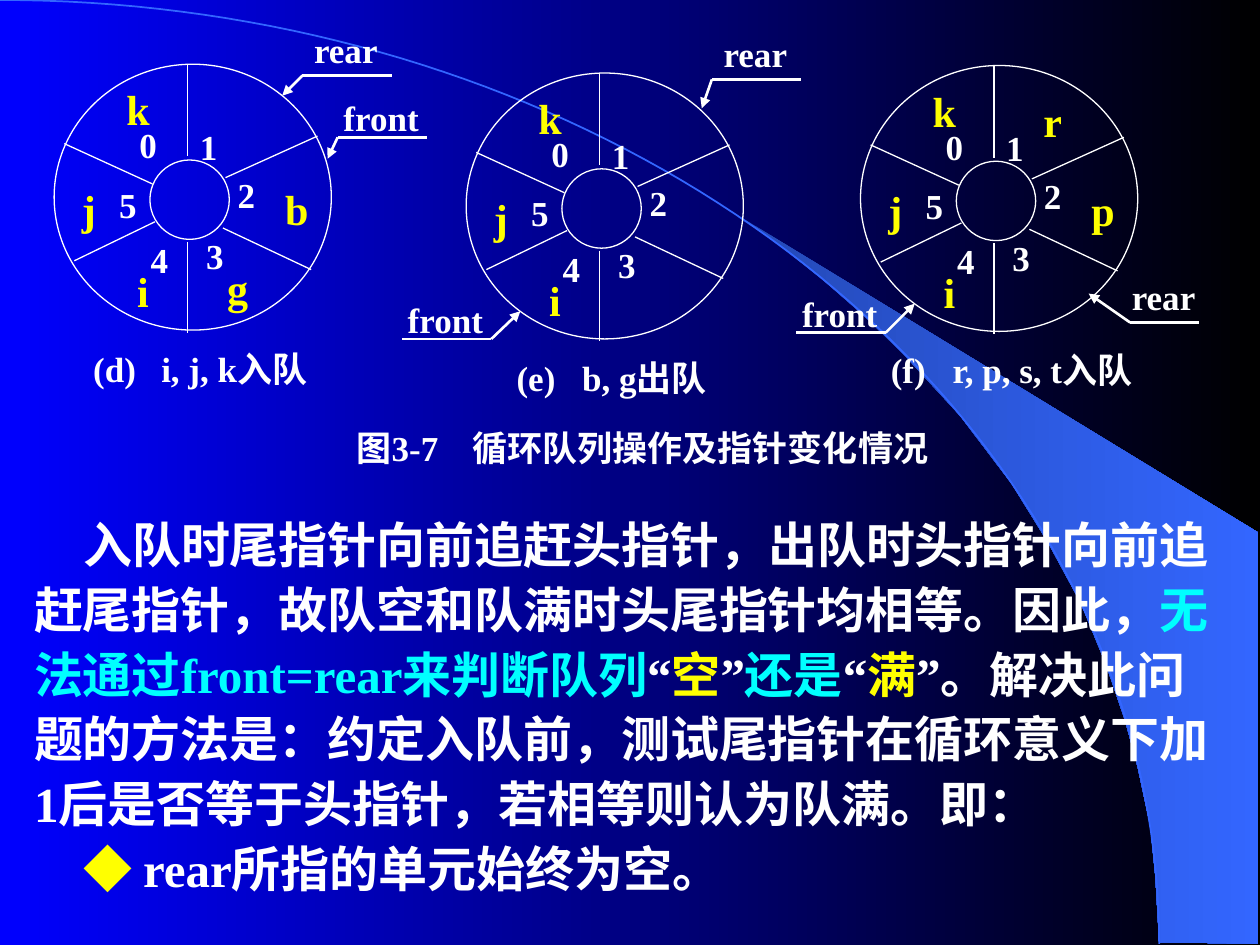
"""Build the slide on circular queue operations and pointer changes."""
from dataclasses import dataclass
from math import cos, pi, sin

from lxml import etree
from pptx import Presentation
from pptx.dml.color import RGBColor
from pptx.enum.shapes import MSO_CONNECTOR, MSO_SHAPE
from pptx.enum.text import MSO_ANCHOR, MSO_AUTO_SIZE, PP_ALIGN
from pptx.oxml.ns import qn
from pptx.util import Inches, Pt

STRAIGHT, OVAL = MSO_CONNECTOR.STRAIGHT, MSO_SHAPE.OVAL
MIDDLE, CENTER, LEFT = MSO_ANCHOR.MIDDLE, PP_ALIGN.CENTER, PP_ALIGN.LEFT
NO_AUTOFIT = MSO_AUTO_SIZE.NONE


@dataclass(frozen=True)
class Theme:
    white: str = "FFFFFF"
    yellow: str = "FFFF00"
    cyan: str = "00FFFF"
    arc: str = "3366FF"
    backdrop: tuple = ("0000FF", "000000")
    beam: tuple = ("2449B6", "3366FF")
    latin: str = "Times New Roman"
    cjk: str = "Noto Sans CJK SC"
    label: int = 20
    element: int = 24
    body: int = 28
    thin: float = 0.75
    medium: float = 1
    thick: float = 1.5


THEME = Theme()

BEAM = [(9.2, 7.48), (9.99, 7.49), (9.99, 4.23), (5.89, 1.73), (6.24, 1.99), (6.53, 2.22),
        (6.85, 2.5), (7.16, 2.8), (7.62, 3.3), (8.03, 3.84), (8.32, 4.31), (8.58, 4.79),
        (8.78, 5.28), (8.93, 5.72), (9.03, 6.09), (9.13, 6.56), (9.17, 6.96)]
ARC = [(9.2 * sin(step * pi / 160), 7.49 * (1 - cos(step * pi / 160))) for step in range(81)]

SPOKES = [((1.06, 0), (1.06, 0.73)), ((1.06, 1.41), (1.06, 2.13)), ((1.36, 0.9), (2.09, 0.57)),
          ((0.16, 1.56), (0.8, 1.25)), ((1.34, 1.3), (2.04, 1.63)), ((0.08, 0.63), (0.78, 0.95))]
INDEX_SPOTS = [(0.55, 0.48), (1.03, 0.49), (1.33, 0.87), (1.08, 1.36), (0.64, 1.39), (0.39, 0.95)]
ELEMENT_SPOTS = [(0.47, 0.16), (1.33, 0.24), (1.73, 0.95), (1.26, 1.58), (0.51, 1.6), (0.08, 0.95)]
POINTER_RISE = {"front": 0.35, "rear": 0.4}

WHEELS = [
    {"origin": (0.43, 0.51), "elements": "k bgij",
     "pointers": [("front", (2.68, 1.09), 3.39, (2.6, 1.26)), ("rear", (2.4, 0.6), 3.11, (2.24, 0.76))],
     "caption": ("(d)\ti, j, k入队", (0.74, 2.73), 1.9, 0.54)},
    {"origin": (3.7, 0.58), "elements": "k   ij",
     "pointers": [("rear", (5.65, 0.63), 6.36, (5.57, 0.86)), ("front", (3.9, 2.69), 3.19, (4.13, 2.47))],
     "caption": ("(e)\tb, g出队", (4.1, 2.8), 1.8, 0.52)},
    {"origin": (6.83, 0.52), "elements": "krp ij",
     "pointers": [("front", (7.03, 2.64), 6.32, (7.26, 2.41)), ("rear", (8.97, 2.56), 9.52, (8.64, 2.33))],
     "caption": ("(f)\tr, p, s, t入队", (7.07, 2.74), 2.2, 0.49)},
]
FIGURE_TITLE = ("图3-7\t循环队列操作及指针变化情况", (2.83, 3.36), 4.8, 0.92)

FULL_TEST = [
    ("入队时尾指针向前追赶头指针，出队时头指针向前追赶尾指针，故队空和队满时头尾指针均相等。因此，",
     THEME.white, THEME.cjk),
    ("无法通过", THEME.cyan, THEME.cjk),
    ("front=rear", THEME.cyan, THEME.latin),
    ("来判断队列", THEME.cyan, THEME.cjk),
    ("“", THEME.white, THEME.latin),
    ("空", THEME.yellow, THEME.cjk),
    ("”", THEME.white, THEME.latin),
    ("还是", THEME.cyan, THEME.cjk),
    ("“", THEME.white, THEME.latin),
    ("满", THEME.yellow, THEME.cjk),
    ("”", THEME.white, THEME.latin),
    ("。解决此问题的方法是：约定入队前，测试尾指针在循环意义下加", THEME.white, THEME.cjk),
    ("1", THEME.white, THEME.latin),
    ("后是否等于头指针，若相等则认为队满。即：", THEME.white, THEME.cjk),
]
EMPTY_CELL = [("◆ ", THEME.yellow, THEME.cjk), ("rear所指的单元始终为空。", THEME.white, THEME.latin)]


class QueueSlide:
    """Draw styled elements on one slide."""

    def __init__(self, slide, theme):
        self.slide, self.theme, self.shapes = slide, theme, slide.shapes

    def gradient(self, fill, colours):
        fill.gradient()
        fill.gradient_angle = 0
        for stop, colour in zip(fill.gradient_stops, colours):
            stop.color.rgb = RGBColor.from_string(colour)

    def stroke(self, line, colour, width):
        line.color.rgb = RGBColor.from_string(colour)
        line.width = Pt(width)

    def font(self, font, size, colour, latin, east_asian):
        font.size, font.bold, font.name = Pt(size), True, latin
        font.color.rgb = RGBColor.from_string(colour)
        etree.SubElement(font._element, qn("a:ea")).set("typeface", east_asian)

    def outline(self, points, closed):
        builder = self.shapes.build_freeform(*map(Inches, points[0]))
        builder.add_line_segments([(Inches(x), Inches(y)) for x, y in points[1:]], close=closed)
        shape = builder.convert_to_shape()
        shape.shadow.inherit = False
        return shape

    def backdrop(self):
        self.gradient(self.slide.background.fill, self.theme.backdrop)
        beam = self.outline(BEAM, True)
        self.gradient(beam.fill, self.theme.beam)
        beam.line.fill.background()
        arc = self.outline(ARC, False)
        arc.fill.background()
        self.stroke(arc.line, self.theme.arc, self.theme.medium)

    def ring(self, left, top, width, height):
        ring = self.shapes.add_shape(OVAL, *map(Inches, (left, top, width, height)))
        ring.shadow.inherit = False
        ring.fill.background()
        self.stroke(ring.line, self.theme.white, self.theme.thin)

    def line(self, start, end, width, arrow=False):
        line = self.shapes.add_connector(STRAIGHT, *map(Inches, (*start, *end)))
        self.stroke(line.line, self.theme.white, width)
        if arrow:
            etree.SubElement(line.line._get_or_add_ln(), qn("a:tailEnd")).set("type", "triangle")
        etree.SubElement(line._element.spPr, qn("a:effectLst"))

    def label(self, text, left, top, width, height, size, colour, tab=None):
        frame = self.shapes.add_textbox(*map(Inches, (left, top, width, height))).text_frame
        frame.margin_left = frame.margin_right = frame.margin_top = frame.margin_bottom = 0
        frame.vertical_anchor, frame.word_wrap = MIDDLE, tab is not None
        paragraph = frame.paragraphs[0]
        paragraph.text = text
        paragraph.alignment = CENTER if tab is None else LEFT
        if tab is not None:
            tabs = etree.SubElement(paragraph._p.get_or_add_pPr(), qn("a:tabLst"))
            etree.SubElement(tabs, qn("a:tab"), pos=str(Inches(tab)), algn="l")
        self.font(paragraph.font, size, colour, self.theme.latin, self.theme.cjk)

    def caption(self, text, spot, width, tab):
        self.label(text, *spot, width, 0.39, self.theme.label, self.theme.white, tab)

    def pointer(self, word, elbow, far, tip):
        x, y = elbow
        self.label(word, (x + far) / 2 - 0.36, y - POINTER_RISE[word], 0.7, 0.39,
                   self.theme.label, self.theme.white)
        self.line(elbow, (far, y), self.theme.thick)
        self.line(elbow, tip, self.theme.thick, arrow=True)

    def wheel(self, origin, elements, pointers, caption):
        x, y = origin
        self.ring(x + 0.76, y + 0.76, 0.63, 0.63)
        self.ring(x, y, 2.2, 2.11)
        for (x1, y1), (x2, y2) in SPOKES:
            self.line((x + x1, y + y1), (x + x2, y + y2), self.theme.thin)
        for index, (dx, dy) in enumerate(INDEX_SPOTS):
            self.label(str(index), x + dx, y + dy, 0.39, 0.32, self.theme.label, self.theme.white)
        for element, (dx, dy) in zip(elements, ELEMENT_SPOTS):
            if element != " ":
                self.label(element, x + dx, y + dy, 0.39, 0.39, self.theme.element, self.theme.yellow)
        for pointer in pointers:
            self.pointer(*pointer)
        self.caption(*caption)

    def body(self, placeholder, paragraphs):
        placeholder.left, placeholder.top = Inches(0.17), Inches(3.99)
        placeholder.width, placeholder.height = Inches(9.58), Inches(3.23)
        self.shapes._spTree.append(placeholder._element)
        frame = placeholder.text_frame
        frame.word_wrap, frame.auto_size = True, NO_AUTOFIT
        for number, (margin, indent, runs) in enumerate(paragraphs):
            paragraph = frame.add_paragraph() if number else frame.paragraphs[0]
            paragraph.line_spacing, paragraph.space_before = 1.1, Pt(0)
            properties = paragraph._p.get_or_add_pPr()
            properties.set("marL", str(Inches(margin)))
            properties.set("indent", str(Inches(indent)))
            etree.SubElement(properties, qn("a:buNone"))
            for text, colour, face in runs:
                run = paragraph.add_run()
                run.text = text
                east_asian = face if text in "“”" else self.theme.cjk
                self.font(run.font, self.theme.body, colour, face, east_asian)


def main():
    deck = Presentation()
    deck.slide_width, deck.slide_height = Inches(10), Inches(7.5)
    slide = deck.slides.add_slide(deck.slide_layouts[1])
    title, explanation = slide.placeholders
    title._element.getparent().remove(title._element)
    page = QueueSlide(slide, THEME)
    page.backdrop()
    page.body(explanation, [(0, 0.39, FULL_TEST), (0.39, 0, EMPTY_CELL)])
    for wheel in WHEELS:
        page.wheel(**wheel)
    page.caption(*FIGURE_TITLE)
    deck.save("out.pptx")


if __name__ == "__main__":
    main()
